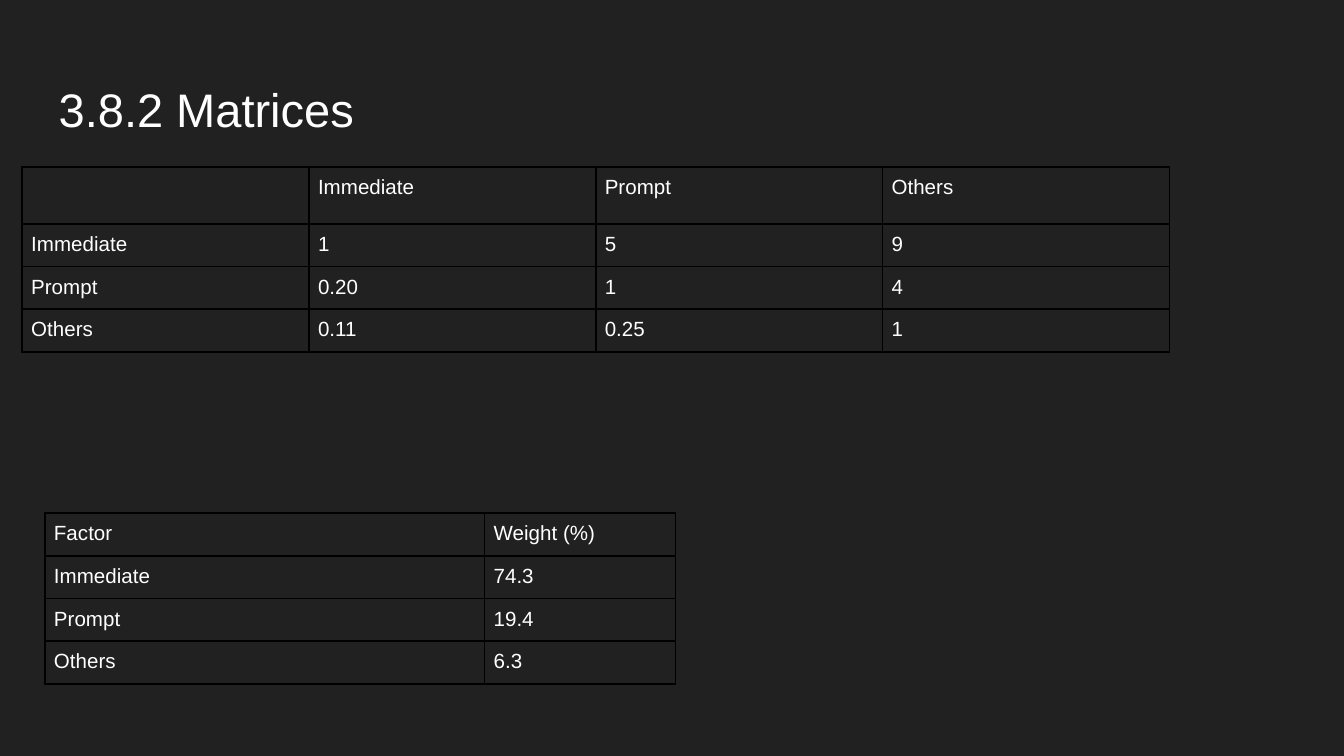
from dataclasses import dataclass

from lxml.etree import SubElement
from pptx import Presentation
from pptx.dml.color import RGBColor
from pptx.enum.text import MSO_ANCHOR
from pptx.oxml.ns import qn
from pptx.util import Cm, Pt

BACKGROUND = "212121"
TEXT = "FFFFFF"
BORDER = "000000"
CELL_MARGIN = Cm(0.17)


@dataclass
class Matrix:
    left: float
    top: float
    column_widths: list[float]
    row_heights: list[float]
    rows: list[list[str]]


MATRICES = [
    Matrix(0.42, 3.16, [5.42] * 4, [1.07] + [0.78] * 3, [
        ["", "Immediate", "Prompt", "Others"],
        ["Immediate", "1", "5", "9"],
        ["Prompt", "0.20", "1", "4"],
        ["Others", "0.11", "0.25", "1"],
    ]),
    Matrix(0.85, 9.7, [8.31, 3.61], [0.78] * 4, [
        ["Factor", "Weight (%)"],
        ["Immediate", "74.3"],
        ["Prompt", "19.4"],
        ["Others", "6.3"],
    ]),
]


def color(value: str) -> RGBColor:
    return RGBColor.from_string(value)


def style_paragraph(paragraph, size: float) -> None:
    paragraph.font.name = "Arial"
    paragraph.font.size = Pt(size)
    paragraph.font.color.rgb = color(TEXT)


def add_borders(cell) -> None:
    properties = cell._tc.get_or_add_tcPr()
    for side in ("lnL", "lnR", "lnT", "lnB"):
        line = SubElement(properties, qn(f"a:{side}"), w=str(Pt(1)))
        fill = SubElement(line, qn("a:solidFill"))
        SubElement(fill, qn("a:srgbClr"), val=BORDER)


def fill_cell(cell, text: str) -> None:
    cell.text = text
    cell.margin_left = cell.margin_right = CELL_MARGIN
    cell.margin_top = cell.margin_bottom = CELL_MARGIN
    style_paragraph(cell.text_frame.paragraphs[0], 11)
    add_borders(cell)
    cell.fill.background()


def add_matrix(slide, matrix: Matrix) -> None:
    table = slide.shapes.add_table(
        len(matrix.rows), len(matrix.column_widths),
        Cm(matrix.left), Cm(matrix.top),
        Cm(sum(matrix.column_widths)), Cm(sum(matrix.row_heights)),
    ).table
    table.first_row = table.horz_banding = False
    for column, width in zip(table.columns, matrix.column_widths):
        column.width = Cm(width)
    for row, height, texts in zip(table.rows, matrix.row_heights, matrix.rows):
        row.height = Cm(height)
        for cell, text in zip(row.cells, texts):
            fill_cell(cell, text)


def add_title(slide, text: str) -> None:
    frame = slide.shapes.add_textbox(Cm(0.86), Cm(1.24), Cm(23.67), Cm(1.6)).text_frame
    frame.word_wrap = True
    frame.vertical_anchor = MSO_ANCHOR.BOTTOM
    frame.margin_left = frame.margin_right = Cm(0.25)
    frame.margin_top = frame.margin_bottom = Cm(0.25)
    frame.text = text
    style_paragraph(frame.paragraphs[0], 25.2)


def main() -> None:
    presentation = Presentation()
    presentation.slide_width = Cm(25.4)
    presentation.slide_height = Cm(14.29)
    slide = presentation.slides.add_slide(presentation.slide_layouts[6])
    slide.background.fill.solid()
    slide.background.fill.fore_color.rgb = color(BACKGROUND)
    add_title(slide, "3.8.2 Matrices")
    for matrix in MATRICES:
        add_matrix(slide, matrix)
    presentation.save("out.pptx")


if __name__ == "__main__":
    main()
